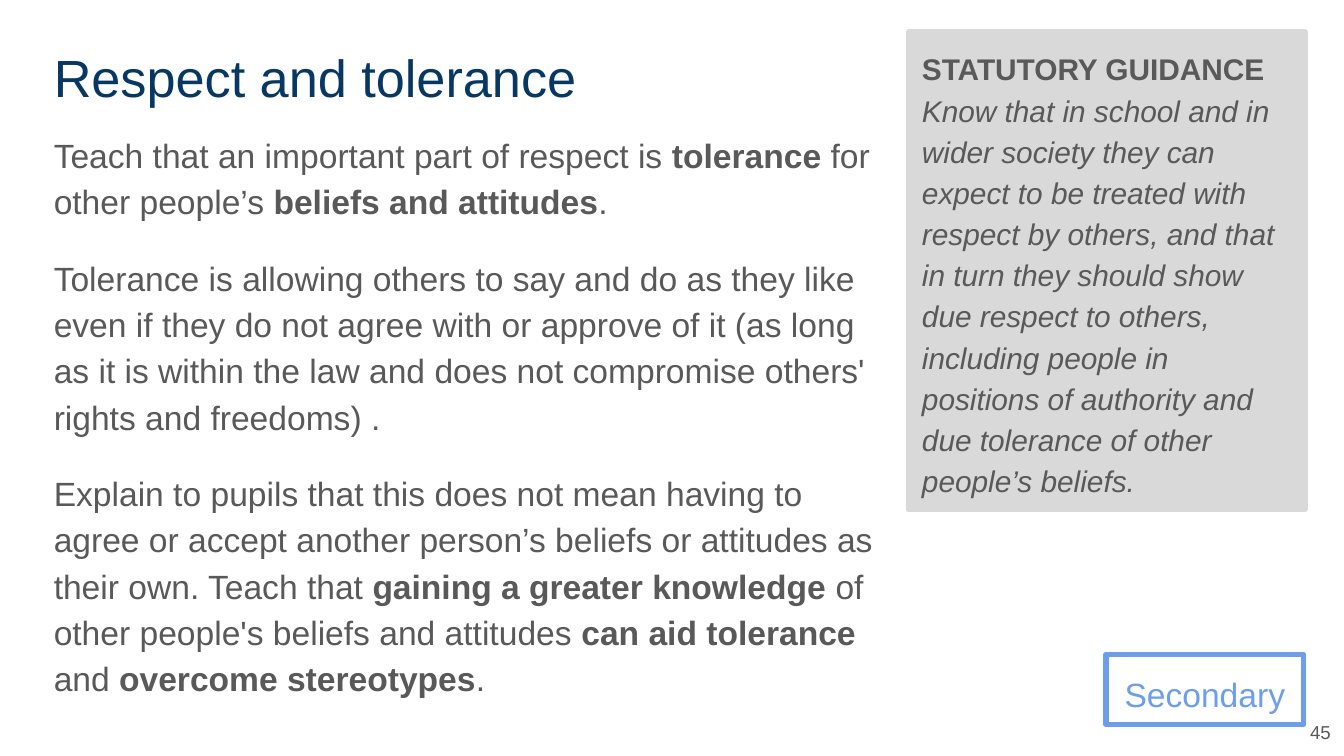
"""Build the slide on respect and tolerance with its statutory guidance."""
from pptx import Presentation
from pptx.dml.color import RGBColor
from pptx.enum.shapes import MSO_SHAPE as Shape
from pptx.enum.text import MSO_ANCHOR as Anchor, MSO_AUTO_SIZE as AutoSize, PP_ALIGN as Align
from pptx.oxml.ns import qn
from pptx.util import Inches, Pt

NAVY, GRAY, BLUE, PALE = "073763", "595959", "6D9EEB", "D9D9D9"
PLAIN, BOLD, ITALIC = "plain", "bold", "italic"

TITLE = [[("Respect and tolerance", PLAIN)]]
TEACHING = [
    [("Teach that an important part of respect is ", PLAIN), ("tolerance", BOLD),
     (" for other people’s ", PLAIN), ("beliefs and attitudes", BOLD), (".", PLAIN)],
    [("Tolerance is allowing others to say and do as they like even if they do not agree "
      "with or approve of it (as long as it is within the law and does not compromise "
      "others' rights and freedoms) .", PLAIN)],
    [("Explain to pupils that this does not mean having to agree or accept another "
      "person’s beliefs or attitudes as their own. Teach that ", PLAIN),
     ("gaining a greater knowledge ", BOLD),
     ("of other people's beliefs and attitudes ", PLAIN),
     ("can aid tolerance ", BOLD), ("and ", PLAIN),
     ("overcome stereotypes", BOLD), (". ", PLAIN)],
]
GUIDANCE = [
    [("STATUTORY GUIDANCE\n", BOLD),
     ("Know that in school and in wider society they can expect to be treated with respect "
      "by others, and that in turn they should show due respect to others, including people "
      "in positions of authority and due tolerance of other people’s beliefs.", ITALIC)],
]
STAGE = [[("Secondary", PLAIN)]]
PAGE = [[("45", PLAIN)]]


def color(value):
    return RGBColor.from_string(value)


def place(shape, left, top, width, height):
    shape.left, shape.top = Inches(left), Inches(top)
    shape.width, shape.height = Inches(width), Inches(height)


def outline(shape, value):
    shape.line.color.rgb = color(value)
    shape.line.width = Pt(3)


def write(shape, paragraphs, size, ink, align=Align.LEFT, anchor=Anchor.TOP,
          spacing=1.0, before=0):
    frame = shape.text_frame
    frame.word_wrap = True
    frame.auto_size = AutoSize.NONE
    frame.vertical_anchor = anchor
    frame.margin_left = frame.margin_right = Inches(0.1)
    frame.margin_top = frame.margin_bottom = Inches(0.1)
    for index, runs in enumerate(paragraphs):
        paragraph = frame.add_paragraph() if index else frame.paragraphs[0]
        paragraph.alignment = align
        paragraph.line_spacing = spacing
        paragraph.space_before, paragraph.space_after = Pt(before), Pt(0)
        properties = paragraph._p.get_or_add_pPr()
        properties.set("marL", "0")
        properties.set("indent", "0")
        properties.append(properties.makeelement(qn("a:buNone"), {}))
        for text, style in runs:
            run = paragraph.add_run()
            run.text = text.rstrip("\n")
            font = run.font
            font.name, font.size = "Arial", Pt(size)
            font.color.rgb = color(ink)
            font.bold, font.italic = style == BOLD, style == ITALIC
            if text.endswith("\n"):
                paragraph.add_line_break()


presentation = Presentation()
presentation.slide_width = Inches(10)
presentation.slide_height = Inches(10) * 9 // 16
slide = presentation.slides.add_slide(presentation.slide_layouts.get_by_name("Two Content"))
title, teaching, guidance = slide.placeholders

place(title, 0.3, 0.24, 6.41, 0.63)
write(title, TITLE, 28, NAVY)

place(teaching, 0.3, 0.86, 6.41, 4.01)
write(teaching, TEACHING, 18, GRAY, spacing=1.15, before=16)

place(guidance, 6.76, 0.24, 2.95, 3.55)
guidance.fill.solid()
guidance.fill.fore_color.rgb = color(PALE)
outline(guidance, PALE)
write(guidance, GUIDANCE, 16, GRAY, spacing=1.15)

stage = slide.shapes.add_shape(
    Shape.RECTANGLE, Inches(8.23), Inches(4.87), Inches(1.47), Inches(0.52))
stage.shadow.inherit = False
stage.fill.background()
outline(stage, BLUE)
write(stage, STAGE, 18, BLUE, Align.CENTER, spacing=1.15)

page = slide.shapes.add_textbox(Inches(9.61), Inches(5.26), Inches(0.39), Inches(0.37))
write(page, PAGE, 10, GRAY, Align.RIGHT, Anchor.MIDDLE)

presentation.save("out.pptx")
